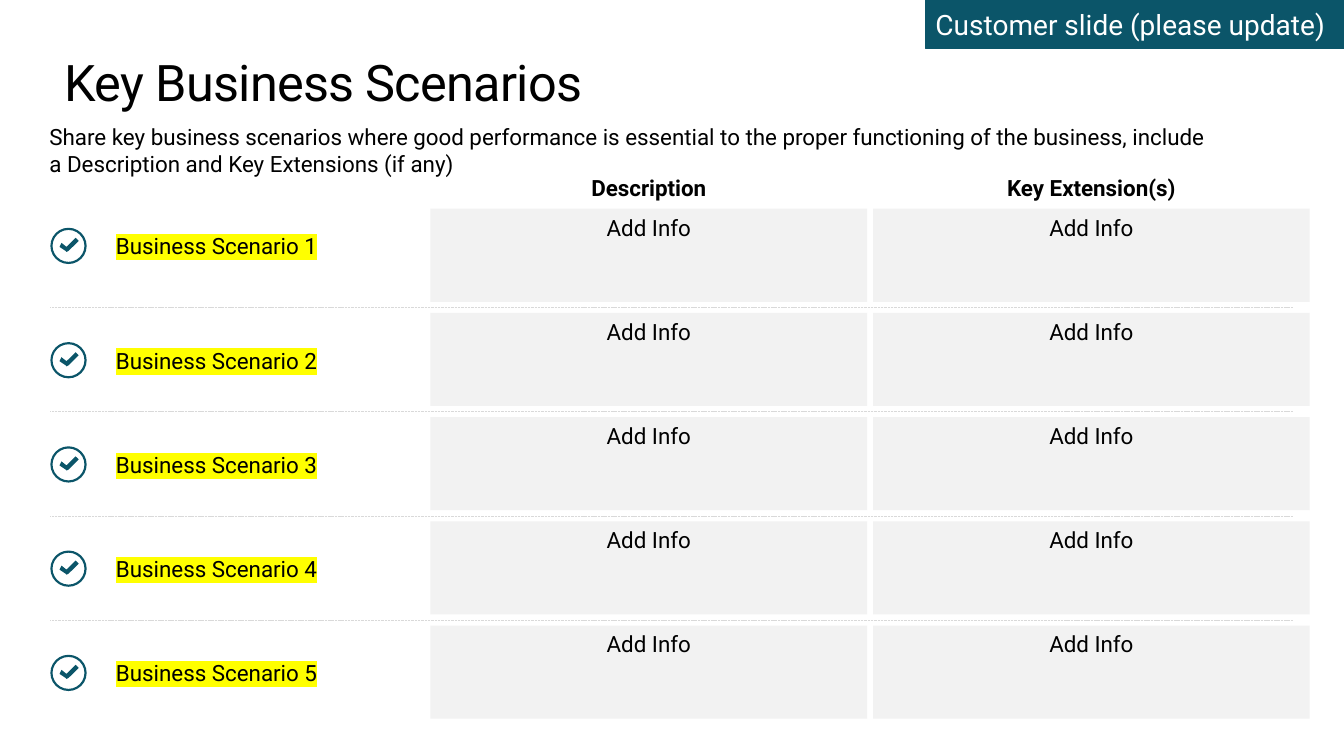
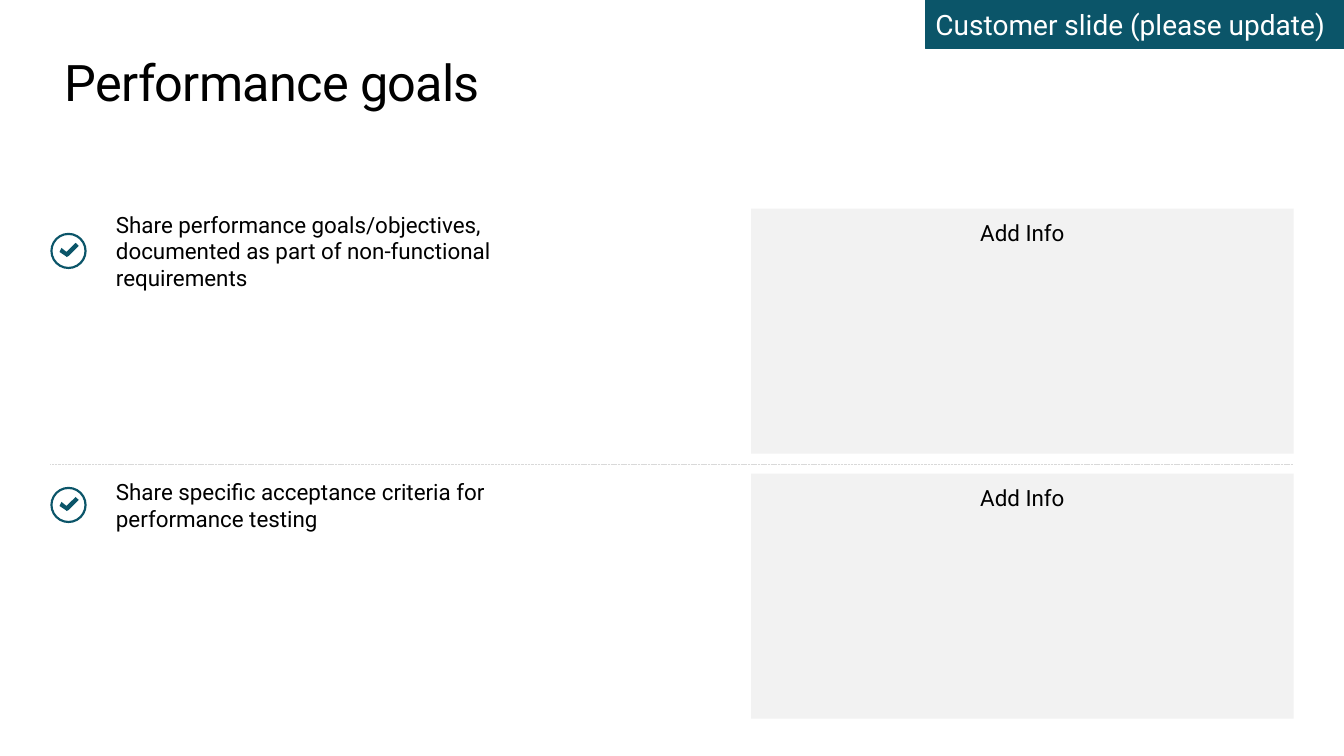
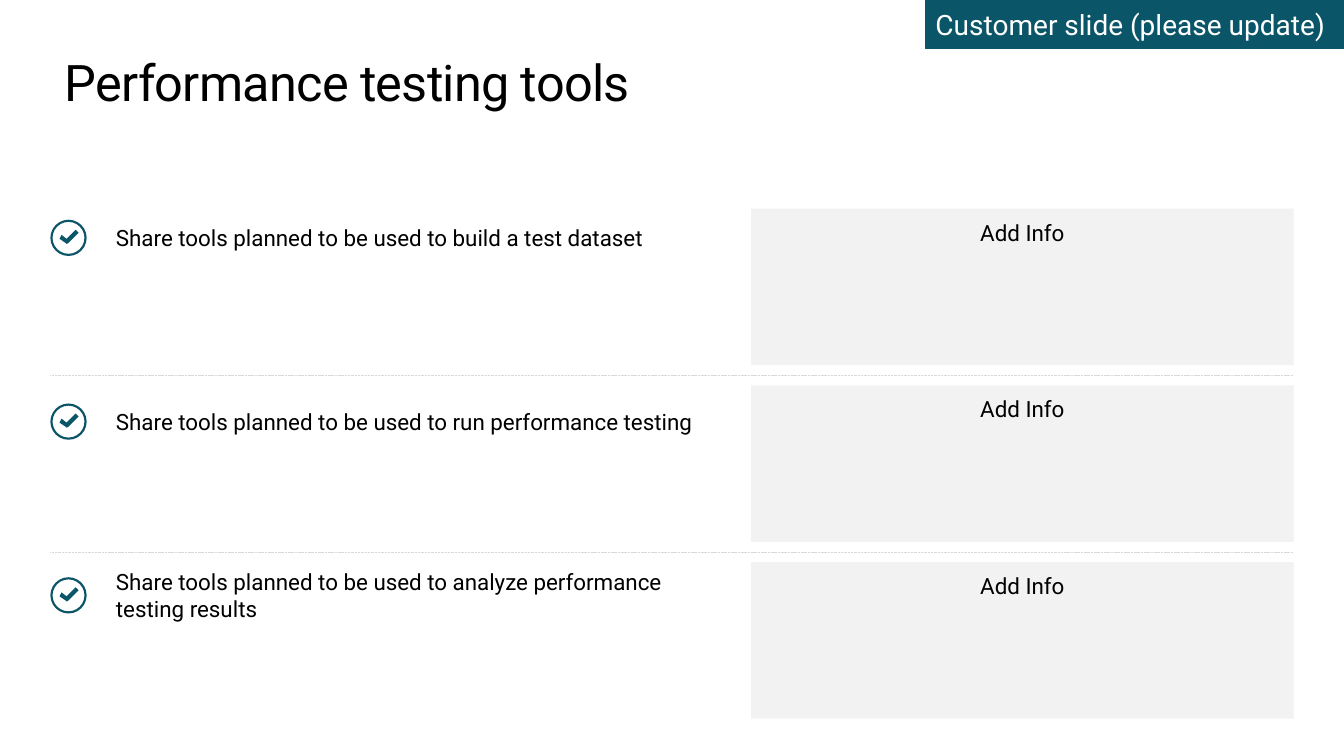
from lxml.etree import SubElement
from pptx import Presentation
from pptx.dml.color import RGBColor
from pptx.enum.dml import MSO_LINE
from pptx.enum.shapes import MSO_CONNECTOR, MSO_SHAPE
from pptx.enum.text import MSO_ANCHOR, PP_ALIGN
from pptx.oxml import parse_xml
from pptx.oxml.ns import nsdecls, qn
from pptx.util import Inches, Pt

FONT = "Roboto"
TEAL = RGBColor(0x0B, 0x55, 0x69)
GREY = RGBColor(0xF2, 0xF2, 0xF2)
RULE = RGBColor(0xD9, 0xD9, 0xD9)
BLACK = RGBColor(0, 0, 0)
WHITE = RGBColor(0xFF, 0xFF, 0xFF)
HIGHLIGHT = "FFFF00"

WIDTH, HEIGHT = 13.33, 7.5
LEFT, RIGHT = 0.5, 12.83
TOP, BOTTOM = 2.07, 7.13
LABEL_LEFT, LABEL_HEIGHT = 1.15, 0.57
HEADER_TOP, HEADER_HEIGHT = 1.68, 0.37
ICON = 0.36
TICK = [(0.25, 0.1), (0.16, 0.19), (0.11, 0.15), (0.09, 0.19),
        (0.15, 0.23), (0.16, 0.24), (0.18, 0.23), (0.28, 0.13)]

BANNER = "Customer slide (please update)"
PROMPT = "Add Info"

# rows: (label, distance from the top of the row to the label's middle)
# cards: (left, width, column header)
SLIDES = [
    dict(title="Key Business Scenarios",
         intro="Share key business scenarios where good performance is essential to the "
               "proper functioning of the business, include a Description and Key "
               "Extensions (if any)",
         rows=[(f"Business Scenario {n}", 0.37 if n == 1 else 0.47) for n in range(1, 6)],
         cards=[(4.27, 4.33, "Description"), (8.66, 4.33, "Key Extension(s)")],
         label_width=3, gap=0.11, card_inset=0.05, highlight=True),
    dict(title="Performance goals",
         rows=[("Share performance goals/objectives, documented as part of "
                "non-functional requirements", 0.42),
               ("Share specific acceptance criteria for performance testing", 0.31)],
         cards=[(7.45, 5.38, None)],
         label_width=4.81, gap=0.2, card_inset=0.1),
    dict(title="Performance testing tools",
         rows=[("Share tools planned to be used to build a test dataset", 0.29),
               ("Share tools planned to be used to run performance testing", 0.36),
               ("Share tools planned to be used to analyze performance testing results", 0.33)],
         cards=[(7.45, 5.38, None)],
         label_width=6.05, gap=0.2, card_inset=0.1),
]


def write(sp, text, size=16, color=BLACK, bold=False, align=PP_ALIGN.LEFT,
          anchor=MSO_ANCHOR.MIDDLE, insets=(0, 0, 0, 0)):
    """Fill a shape with one formatted run and return that run."""
    tf = sp.text_frame
    tf.word_wrap = True
    tf.vertical_anchor = anchor
    tf.margin_left, tf.margin_top, tf.margin_right, tf.margin_bottom = map(Inches, insets)
    tf.text = text
    p = tf.paragraphs[0]
    p.alignment = align
    r = p.runs[0]
    r.font.size, r.font.name, r.font.bold = Pt(size), FONT, bold
    r.font.color.rgb = color
    return r


def add_text(s, box, text, **style):
    return write(s.shapes.add_textbox(*map(Inches, box)), text, **style)


def paint(sp, fill):
    sp.shadow.inherit = False
    sp.fill.solid()
    sp.fill.fore_color.rgb = fill
    sp.line.fill.background()


def add_block(shapes, kind, box, fill):
    sp = shapes.add_shape(kind, *map(Inches, box))
    paint(sp, fill)
    return sp


def add_check_icon(s, top):
    shapes = s.shapes.add_group_shape().shapes
    ring = add_block(shapes, MSO_SHAPE.DONUT, (LEFT, top, ICON, ICON), TEAL)
    ring.adjustments[0] = 0.06
    points = [(Inches(LEFT + x), Inches(top + y)) for x, y in TICK]
    outline = shapes.build_freeform(*points[0])
    outline.add_line_segments(points[1:])
    paint(outline.convert_to_shape(), TEAL)


def add_divider(s, y):
    line = s.shapes.add_connector(MSO_CONNECTOR.STRAIGHT, Inches(LEFT), Inches(y),
                                  Inches(RIGHT), Inches(y))
    line.line.color.rgb = RULE
    line.line.width = Pt(0.25)
    line.line.dash_style = MSO_LINE.SQUARE_DOT
    SubElement(line._element.spPr, qn("a:effectLst"))


def highlight(r):
    mark = parse_xml(f'<a:highlight {nsdecls("a")}><a:srgbClr val="{HIGHLIGHT}"/></a:highlight>')
    r._r.get_or_add_rPr().find(qn("a:solidFill")).addnext(mark)


def add_frame(s, title):
    """Place the title and the corner banner that every slide carries."""
    sp = s.shapes.title
    sp.left, sp.top, sp.width, sp.height = map(Inches, (0.64, 0.5, 12.05, 0.61))
    r = write(sp, title, size=36)
    r._r.get_or_add_rPr().set("spc", "-50")
    banner = add_block(s.shapes, MSO_SHAPE.RECTANGLE, (9.18, 0, WIDTH - 9.18, 0.48), TEAL)
    banner.line.color.rgb = TEAL
    banner.line.width = Pt(0.25)
    write(banner, BANNER, size=20, color=WHITE, insets=(0.1, 0.05, 0.1, 0.05))


def add_rows(s, content):
    rows, gap = content["rows"], content["gap"]
    pitch = (BOTTOM - TOP + gap) / len(rows)
    for i, (label, offset) in enumerate(rows):
        top = TOP + i * pitch
        middle = top + offset
        if i:
            add_divider(s, top - gap / 2)
        add_check_icon(s, middle - ICON / 2)
        r = add_text(s, (LABEL_LEFT, middle - LABEL_HEIGHT / 2,
                         content["label_width"], LABEL_HEIGHT), label)
        if content.get("highlight"):
            highlight(r)
        for left, width, _ in content["cards"]:
            card = add_block(s.shapes, MSO_SHAPE.RECTANGLE,
                             (left, top, width, pitch - gap), GREY)
            write(card, PROMPT, align=PP_ALIGN.CENTER, anchor=MSO_ANCHOR.TOP,
                  insets=(0.1, content["card_inset"], 0.1, 0.05))


def main():
    prs = Presentation()
    prs.slide_width, prs.slide_height = Inches(WIDTH), Inches(HEIGHT)
    for content in SLIDES:
        s = prs.slides.add_slide(prs.slide_layouts[5])
        add_frame(s, content["title"])
        if "intro" in content:
            add_text(s, (LEFT - 0.01, 1.2, 11.58, 0.57), content["intro"])
        for left, width, header in content["cards"]:
            if header:
                add_text(s, (left, HEADER_TOP, width, HEADER_HEIGHT), header,
                         bold=True, align=PP_ALIGN.CENTER)
        add_rows(s, content)
    prs.save("out.pptx")


if __name__ == "__main__":
    main()
